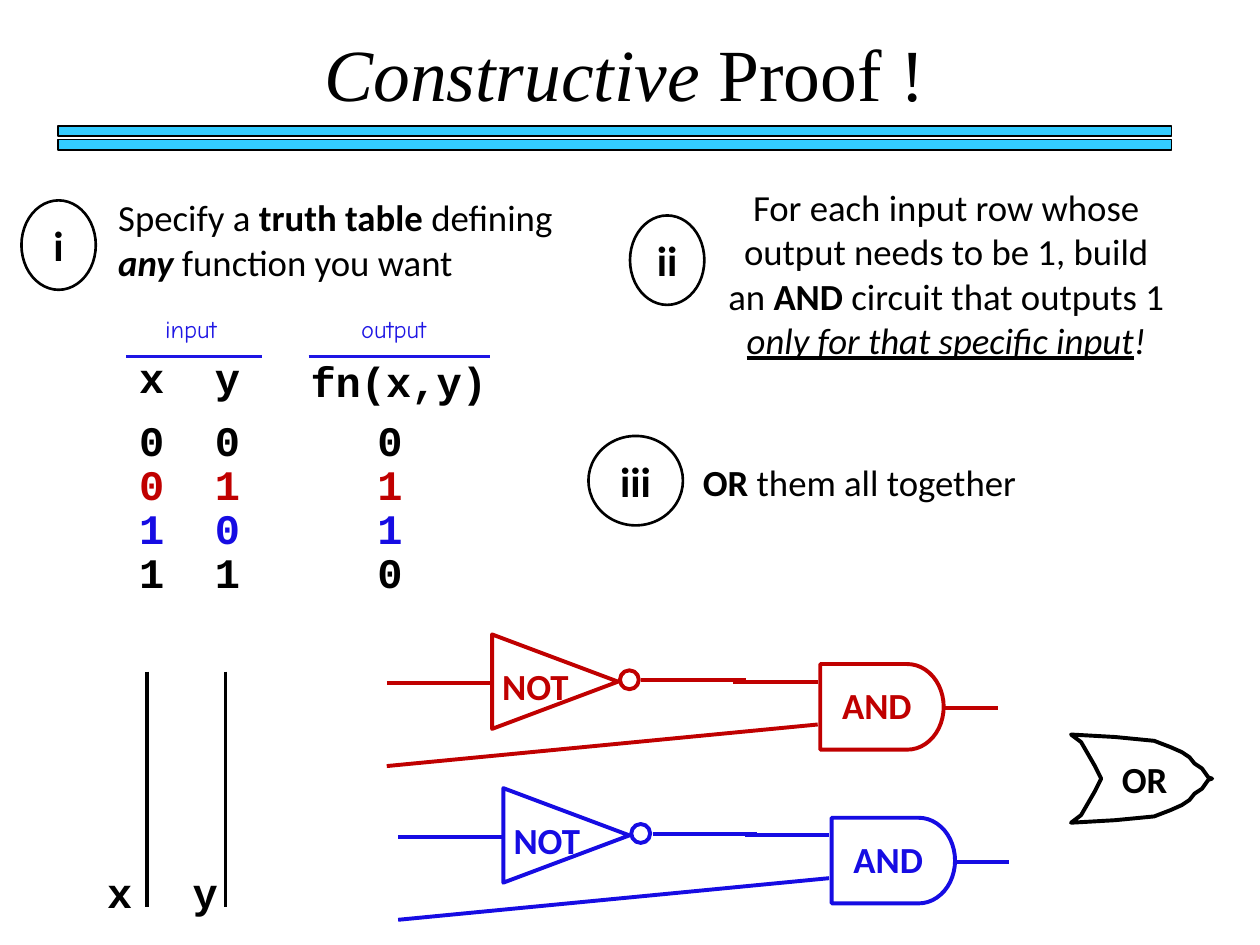
import math
from dataclasses import dataclass

from lxml import etree
from pptx import Presentation
from pptx.dml.color import RGBColor
from pptx.enum import shapes, text
from pptx.oxml.ns import qn
from pptx.util import Inches, Pt


@dataclass(frozen=True)
class Theme:
    ink: str = "000000"
    red: str = "C00000"
    blue: str = "160CE3"
    label: str = "1E16E4"
    bar: str = "33CCFF"
    body: str = "Calibri"
    mono: str = "Courier New"
    hand: str = "Comic Neue"
    title: str = "Times New Roman"
    title_size: float = 42
    large: float = 24
    normal: float = 21
    small: float = 14
    thin: float = 0.75
    medium: float = 1.5
    thick: float = 2.25


T = Theme()
CENTER = text.PP_ALIGN.CENTER


def rgb(color):
    return RGBColor.from_string(color)


def write(frame, runs, size=T.normal, font=T.body, color=T.ink, align=CENTER):
    """Fill a frame with runs of (words, style); style holds b, i and u."""
    paragraph = frame.paragraphs[0]
    paragraph.alignment = align
    for words, style in runs:
        run = paragraph.add_run()
        run.text = words
        run.font.name, run.font.size = font, Pt(size)
        run.font.color.rgb = rgb(color)
        run.font.bold, run.font.italic = "b" in style, "i" in style
        run.font.underline = "u" in style


def add_text(slide, box, runs, wrap=True, **style):
    frame = slide.shapes.add_textbox(*map(Inches, box)).text_frame
    frame.word_wrap = wrap
    write(frame, runs, **style)


def outline(shape, color, width, fill=None):
    shape.shadow.inherit = False
    if fill:
        shape.fill.solid()
        shape.fill.fore_color.rgb = rgb(fill)
    else:
        shape.fill.background()
    shape.line.color.rgb = rgb(color)
    shape.line.width = Pt(width)


def add_shape(slide, kind, box, color=T.ink, width=T.thick, fill=None):
    shape = slide.shapes.add_shape(kind, *map(Inches, box))
    outline(shape, color, width, fill)
    return shape


def add_line(slide, start, end, color=T.ink, width=T.thick):
    line = slide.shapes.add_connector(
        shapes.MSO_CONNECTOR.STRAIGHT, *map(Inches, (*start, *end)))
    line.line.color.rgb = rgb(color)
    line.line.width = Pt(width)
    etree.SubElement(line._element.spPr, qn("a:effectLst"))


def add_outline(slide, left, top, points, color):
    places = [(Inches(left + x), Inches(top + y)) for x, y in points]
    builder = slide.shapes.build_freeform(*places[0], scale=1.0)
    builder.add_line_segments(places[1:], close=True)
    outline(builder.convert_to_shape(), color, T.thick)


def add_heading(slide, left, top, width):
    title = slide.shapes.title
    title.left, title.top = Inches(left + 0.61), Inches(top)
    title.width, title.height = Inches(7.92), Inches(0.8)
    frame = title.text_frame
    frame.vertical_anchor = text.MSO_ANCHOR.TOP
    frame.margin_top, frame.margin_bottom = Inches(0.12), 0
    frame.auto_size = text.MSO_AUTO_SIZE.NONE
    write(frame, [("Constructive ", "i"), ("Proof ! ", "")],
          size=T.title_size, font=T.title)
    for bar in range(2):
        add_shape(slide, shapes.MSO_SHAPE.RECTANGLE,
                  (left, top + 0.9 + bar * 0.11, width, 0.08),
                  width=T.thin, fill=T.bar)


def add_step(slide, numeral, circle_box, text_box, runs, align):
    circle = add_shape(slide, shapes.MSO_SHAPE.OVAL, circle_box, width=T.medium)
    circle.text_frame.word_wrap = False
    circle.text_frame.vertical_anchor = text.MSO_ANCHOR.MIDDLE
    write(circle.text_frame, [(numeral, "b")], size=T.large)
    add_text(slide, text_box, runs, align=align)


def add_truth_table(slide, left, top):
    # Group labels with their rules
    for name, label_x, label_width, rule_x, rule_width in (
            ("input", 0.28, 0.65, 0.09, 1.08),
            ("output", 1.82, 0.79, 1.54, 1.44)):
        add_text(slide, (left + label_x, top, label_width, 0.33), [(name, "")],
                 wrap=False, size=T.small, font=T.hand, color=T.label)
        add_line(slide, (left + rule_x, top + 0.39),
                 (left + rule_x + rule_width, top + 0.39), T.label, T.medium)

    # Column heads, then one row for each pair of inputs
    def cell(words, x, y, width, color=T.ink):
        add_text(slide, (left + x, top + y, width, 0.5), [(words, "b")],
                 size=T.large, font=T.mono, color=color)

    columns = ((0, 0.59), (0.58, 0.63), (1.87, 0.63))
    cell("x", 0, 0.3, 0.59)
    cell("y", 0.58, 0.3, 0.63)
    cell("fn(x,y)", 1.34, 0.33, 1.83)
    rows = (("000", T.ink), ("011", T.red), ("101", T.blue), ("110", T.ink))
    for row, (values, color) in enumerate(rows):
        for value, (x, width) in zip(values, columns):
            cell(value, x, 0.8 + row * 0.35, width, color)


def add_input_wires(slide, left, top, height):
    for name, label_x, wire_x in (("x", 0, 0.42), ("y", 0.68, 1.04)):
        add_line(slide, (left + wire_x, top), (left + wire_x, top + height))
        add_text(slide, (left + label_x, top + 1.5, 0.4, 0.51), [(name, "b")],
                 wrap=False, size=T.large, font=T.mono)


def add_and_circuit(slide, left, top, color):
    # Wires: input, inverter output, AND input, direct input, output
    for x1, y1, x2, y2 in ((0, 0.39, 0.84, 0.39), (2.02, 0.37, 2.85, 0.37),
                           (2.75, 0.38, 3.42, 0.38), (0, 1.05, 3.42, 0.72),
                           (4.42, 0.59, 4.85, 0.59)):
        add_line(slide, (left + x1, top + y1), (left + x2, top + y2), color)
    # Inverter
    triangle = add_shape(slide, shapes.MSO_SHAPE.ISOSCELES_TRIANGLE,
                         (left + 0.96, top - 0.12, 0.75, 1), color)
    triangle.rotation = 90
    add_shape(slide, shapes.MSO_SHAPE.OVAL,
              (left + 1.85, top + 0.29, 0.15, 0.15), color)
    # AND gate: flat back and half-round front
    angles = [math.pi * step / 24 for step in range(25)]
    front = [(0.69 + 0.29 * math.sin(a), 0.34 - 0.34 * math.cos(a))
             for a in angles]
    add_outline(slide, left + 3.44, top + 0.24,
                [(0, 0), *front, (0, 0.68)], color)
    for name, x, y, width in (("NOT", 0.81, 0.19, 0.74),
                              ("AND", 3.51, 0.34, 0.76)):
        add_text(slide, (left + x, top + y, width, 0.45), [(name, "b")],
                 wrap=False, color=color)


def add_or_gate(slide, left, top, height):
    edge = [(0, 0), (0.35, 0.02), (0.66, 0.05), (0.79, 0.1), (0.88, 0.14),
            (0.94, 0.18), (0.98, 0.23), (1.04, 0.27), (1.09, 0.34)]
    back = [(0.24, 0.35), (0.19, 0.25), (0.08, 0.06)]
    lower_edge = [(x, height - y) for x, y in reversed(edge)]
    lower_back = [(x, height - y) for x, y in reversed(back[1:])]
    add_outline(slide, left, top,
                edge + [(1.12, 0.35)] + lower_edge + lower_back + back, T.ink)
    add_text(slide, (left + 0.3, top + 0.13, 0.57, 0.45), [("OR", "b")],
             wrap=False)


def main():
    deck = Presentation()
    deck.slide_width, deck.slide_height = Inches(10), Inches(7.5)
    slide = deck.slides.add_slide(deck.slide_layouts[5])
    left_align = text.PP_ALIGN.LEFT

    add_heading(slide, 0.46, 0.1, 8.84)
    add_step(slide, "i", (0.17, 1.59, 0.59, 0.71), (0.84, 1.5, 3.83, 0.81),
             [("Specify a ", ""), ("truth table ", "b"), ("defining ", ""),
              ("any", "bi"), (" function you want", "")], left_align)
    add_step(slide, "ii", (5, 1.71, 0.59, 0.71), (5.67, 1.42, 3.68, 1.51),
             [("For each input row whose output needs to be 1, build an ", ""),
              ("AND", "b"), (" circuit that outputs 1 ", ""),
              ("only for that specific input", "iu"), ("!", "i")], CENTER)
    add_step(slide, "iii", (4.67, 3.46, 0.75, 0.71), (5.48, 3.6, 2.92, 0.45),
             [("OR", "b"), (" them all together", "")], left_align)
    add_truth_table(slide, 0.91, 2.44)
    add_input_wires(slide, 0.75, 5.33, 1.87)
    add_and_circuit(slide, 3.07, 5.03, T.red)
    add_and_circuit(slide, 3.16, 6.25, T.blue)
    add_or_gate(slide, 8.5, 5.83, 0.7)
    deck.save("out.pptx")


if __name__ == "__main__":
    main()
